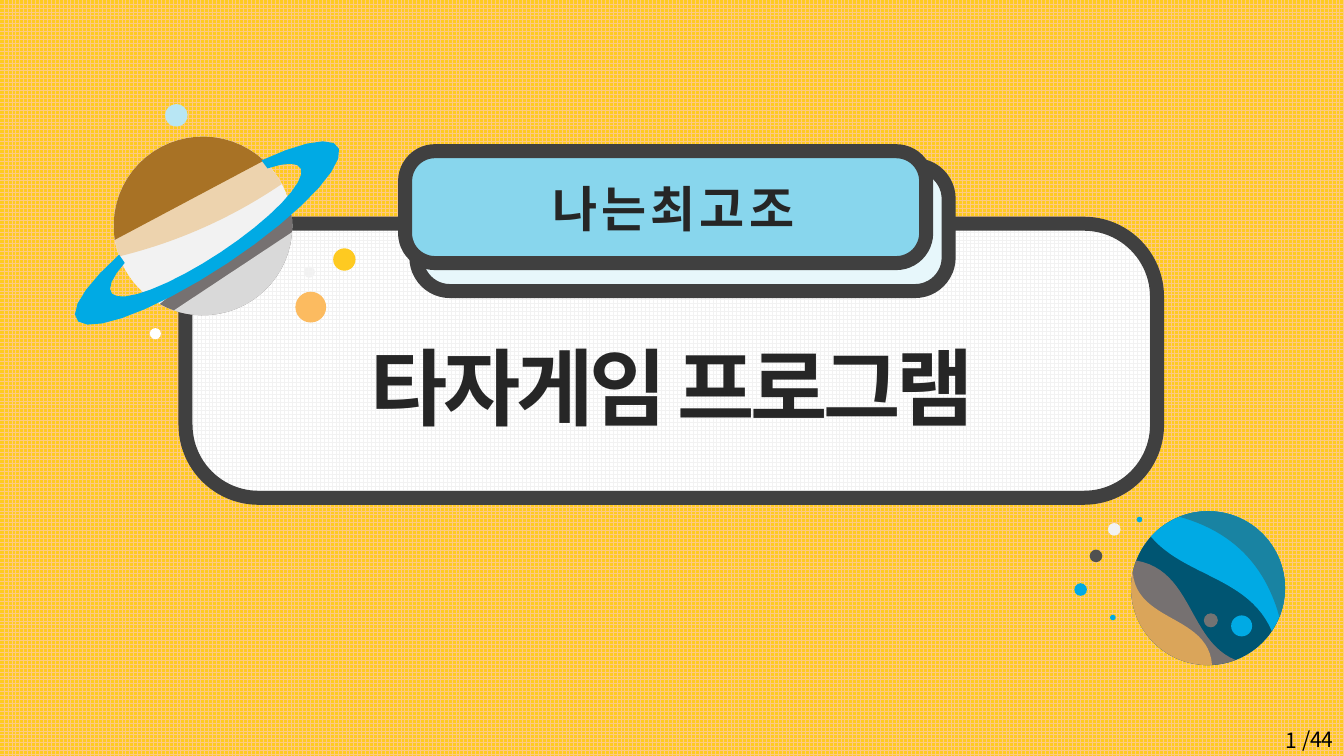
from math import cos, radians, sin

from lxml.etree import SubElement
from pptx import Presentation
from pptx.dml.color import RGBColor
from pptx.enum.dml import MSO_PATTERN
from pptx.enum.shapes import MSO_SHAPE
from pptx.enum.text import MSO_ANCHOR, MSO_AUTO_SIZE, PP_ALIGN
from pptx.oxml.ns import qn
from pptx.util import Pt

FONT = "Noto Sans CJK KR"
BLACK = RGBColor(0x00, 0x00, 0x00)
INK = RGBColor(0x26, 0x26, 0x26)
OUTLINE = RGBColor(0x40, 0x40, 0x40)
CHARCOAL = RGBColor(0x50, 0x50, 0x50)
MID_GREY = RGBColor(0x73, 0x73, 0x73)
WARM_GREY = RGBColor(0x76, 0x71, 0x71)
SILVER = RGBColor(0xD9, 0xD9, 0xD9)
PALE_GREY = RGBColor(0xF2, 0xF2, 0xF2)
WHITE = RGBColor(0xFF, 0xFF, 0xFF)
YELLOW = RGBColor(0xFE, 0xCA, 0x21)
PEACH = RGBColor(0xFD, 0xC9, 0x83)
ORANGE = RGBColor(0xFC, 0xBB, 0x60)
BROWN = RGBColor(0xA8, 0x72, 0x25)
SAND = RGBColor(0xED, 0xD3, 0xAE)
OCHRE = RGBColor(0xDA, 0xA5, 0x5A)
ICE = RGBColor(0xE7, 0xF7, 0xFB)
PALE_BLUE = RGBColor(0xB8, 0xE6, 0xF4)
SKY = RGBColor(0x88, 0xD6, 0xED)
BLUE = RGBColor(0x00, 0xAA, 0xE4)
TEAL = RGBColor(0x19, 0x83, 0xA2)
NAVY = RGBColor(0x00, 0x55, 0x72)

STEPS = 24
RINGED_CAPS = [(SAND, 160, 332, 0.12, 0.12), (BROWN, 171, 313, 0, 0),
               (WARM_GREY, 344, 479, 0, 0), (SILVER, 4, 109, 0, 0)]
RINGED_DOTS = [(ORANGE, 77, 58, 22), (WHITE, -34, 77, 8), (PALE_GREY, 76, 33, 8),
               (PALE_BLUE, -19, -79, 16), (YELLOW, 101, 24, 16)]
STRIPED_CAPS = [(BLUE, 222, 394, -0.37, 0.14), (TEAL, 248, 382, -0.35, -0.35),
                (WARM_GREY, 69, 201, 0.43, -0.26), (OCHRE, 87, 192, -0.39, 0.39)]
STRIPED_DOTS = [(MID_GREY, 2, 23, 10), (BLUE, 24, 27, 15), (BLUE, -49, -49, 4),
                (CHARCOAL, -80, -23, 9), (PALE_GREY, -67, -42, 9),
                (BLUE, -91, 1, 9), (BLUE, -68, 21, 4)]


def fill_grid(fill, fore, back):
    """Give a fill the large grid pattern."""
    fill.patterned()
    fill.pattern = MSO_PATTERN.LARGE_GRID
    fill.fore_color.rgb = fore
    fill.back_color.rgb = back


def paint(part, color):
    """Give a part a plain fill without line or shadow."""
    part.shadow.inherit = False
    part.fill.solid()
    part.fill.fore_color.rgb = color
    part.line.fill.background()


def write_text(holder, text, size, color, align, bold=False, tracking=0, **frame_format):
    """Write one formatted line into a text holder."""
    frame_format = {"word_wrap": False, "auto_size": MSO_AUTO_SIZE.SHAPE_TO_FIT_TEXT,
                    "vertical_anchor": MSO_ANCHOR.TOP, **frame_format}
    for name, value in frame_format.items():
        setattr(holder.text_frame, name, value)
    line = holder.text_frame.paragraphs[0]
    line.alignment = align
    words = line.add_run()
    words.text = text
    for name, value in {"name": FONT, "size": Pt(size), "bold": bold}.items():
        setattr(words.font, name, value)
    words.font.color.rgb = color
    properties = words._r.get_or_add_rPr()
    properties.set("spc", str(tracking * 100))
    SubElement(properties, qn("a:ea"), typeface=FONT)


def draw_card(slide, left, top, width, height):
    """Draw a rounded card with a thick outline."""
    card = slide.shapes.add_shape(
        MSO_SHAPE.ROUNDED_RECTANGLE, Pt(left), Pt(top), Pt(width), Pt(height))
    card.adjustments[0] = 0.267
    card.shadow.inherit = False
    card.line.color.rgb = OUTLINE
    card.line.width = Pt(10)
    return card


def draw_title_panel(slide, left, top, width, height):
    """Draw the white panel and set the slide title on it."""
    panel = draw_card(slide, left, top, width, height)
    fill_grid(panel.fill, PALE_GREY, WHITE)
    title = slide.shapes.title
    title.left, title.top = Pt(left + 100.8), Pt(top + 76.3)
    title.width, title.height = Pt(493.2), Pt(79.9)
    write_text(title, "타자게임 프로그램", 60, INK, PP_ALIGN.CENTER, True, -3)
    slide.shapes._spTree.append(title._element)


def draw_team_badge(slide, left, top, width, height):
    """Draw the two stacked cards that carry the team name."""
    backing = draw_card(slide, left + 8, top + 10, width + 8, height + 10)
    front = draw_card(slide, left, top, width, height)
    for card, color in ((backing, ICE), (front, SKY)):
        card.fill.solid()
        card.fill.fore_color.rgb = color
    team = slide.shapes.add_textbox(Pt(left + 85.7), Pt(top + 15.8), Pt(211.7), Pt(51.1))
    write_text(team, "나는최고조", 35, INK, PP_ALIGN.CENTER, True, 3)


def trace_arc(x, y, across, down, start, end, tilt=0):
    """Return points along an arc of a tilted ellipse, with angles in degrees."""
    turn = radians(tilt)
    points = []
    for step in range(STEPS + 1):
        angle = radians(start + (end - start) * step / STEPS)
        along, aside = across * cos(angle), down * sin(angle)
        points.append((x + along * cos(turn) - aside * sin(turn),
                       y + along * sin(turn) + aside * cos(turn)))
    return points


def trace_cap(x, y, radius, start, end, first_bulge, last_bulge):
    """Return points around a disc segment closed by a bulging chord."""
    points = trace_arc(x, y, radius, radius, start, end)
    (x0, y0), (x1, y1) = points[-1], points[0]
    middle = radians((start + end) / 2)
    for step in range(1, STEPS):
        t = step / STEPS
        bulge = 3 * t * (1 - t) * ((1 - t) * first_bulge + t * last_bulge) * radius
        points.append((x0 + (x1 - x0) * t - bulge * cos(middle),
                       y0 + (y1 - y0) * t - bulge * sin(middle)))
    return points


def draw_outline(slide, points, color):
    """Draw a closed outline through points."""
    outline = [(Pt(x), Pt(y)) for x, y in points]
    builder = slide.shapes.build_freeform(*outline[0])
    builder.add_line_segments(outline[1:], close=True)
    paint(builder.convert_to_shape(), color)


def draw_dot(slide, x, y, size, color):
    """Draw a round dot around a centre."""
    dot = slide.shapes.add_shape(
        MSO_SHAPE.OVAL, Pt(x - size / 2), Pt(y - size / 2), Pt(size), Pt(size))
    paint(dot, color)


def draw_planet(slide, left, top, size, base, caps, dots):
    """Draw a planet with its coloured caps and the dots around it."""
    radius = size / 2
    x, y = left + radius, top + radius
    draw_dot(slide, x, y, size, base)
    for color, *cap in caps:
        draw_outline(slide, trace_cap(x, y, radius, *cap), color)
    for color, across, down, dot_size in dots:
        draw_dot(slide, x + across, y + down, dot_size, color)


def draw_ring(slide, left, top, size):
    """Draw the tilted ring that passes in front of a planet."""
    x, y = left + size / 2 + 3, top + size / 2 + 5
    outer = trace_arc(x, y, 112, 26, -57, 237, -33.5)
    inner = trace_arc(x - 1, y - 2, 81, 19, 221, -41, -33.5)
    draw_outline(slide, outer + inner, BLUE)


def draw_page_number(slide, left, top, width, height):
    """Write the page number and the page total in a corner box."""
    total = slide.shapes.add_textbox(Pt(left + 205.2), Pt(top + 1.4), Pt(37.4), Pt(25.2))
    write_text(total, "/44", 15, BLACK, PP_ALIGN.LEFT)
    number = slide.shapes.add_textbox(Pt(left), Pt(top), Pt(width), Pt(height))
    write_text(number, "1", 15, BLACK, PP_ALIGN.RIGHT, word_wrap=True,
               auto_size=MSO_AUTO_SIZE.NONE, vertical_anchor=MSO_ANCHOR.MIDDLE)


def main():
    """Build the cover slide and save it."""
    deck = Presentation()
    deck.slide_width, deck.slide_height = Pt(960), Pt(540)
    cover = deck.slides.add_slide(deck.slide_layouts[5])
    fill_grid(cover.background.fill, PEACH, YELLOW)
    draw_title_panel(cover, 132.5, 159.8, 694, 195.8)
    draw_team_badge(cover, 289.4, 108, 372.2, 79.9)
    ringed_box = (81.2, 97.6, 127.6)
    draw_planet(cover, *ringed_box, PALE_GREY, RINGED_CAPS, RINGED_DOTS)
    draw_ring(cover, *ringed_box)
    draw_planet(cover, 807.9, 365.1, 110, NAVY, STRIPED_CAPS, STRIPED_DOTS)
    draw_page_number(cover, 717.8, 514.1, 216, 28.8)
    deck.save("out.pptx")


if __name__ == "__main__":
    main()
